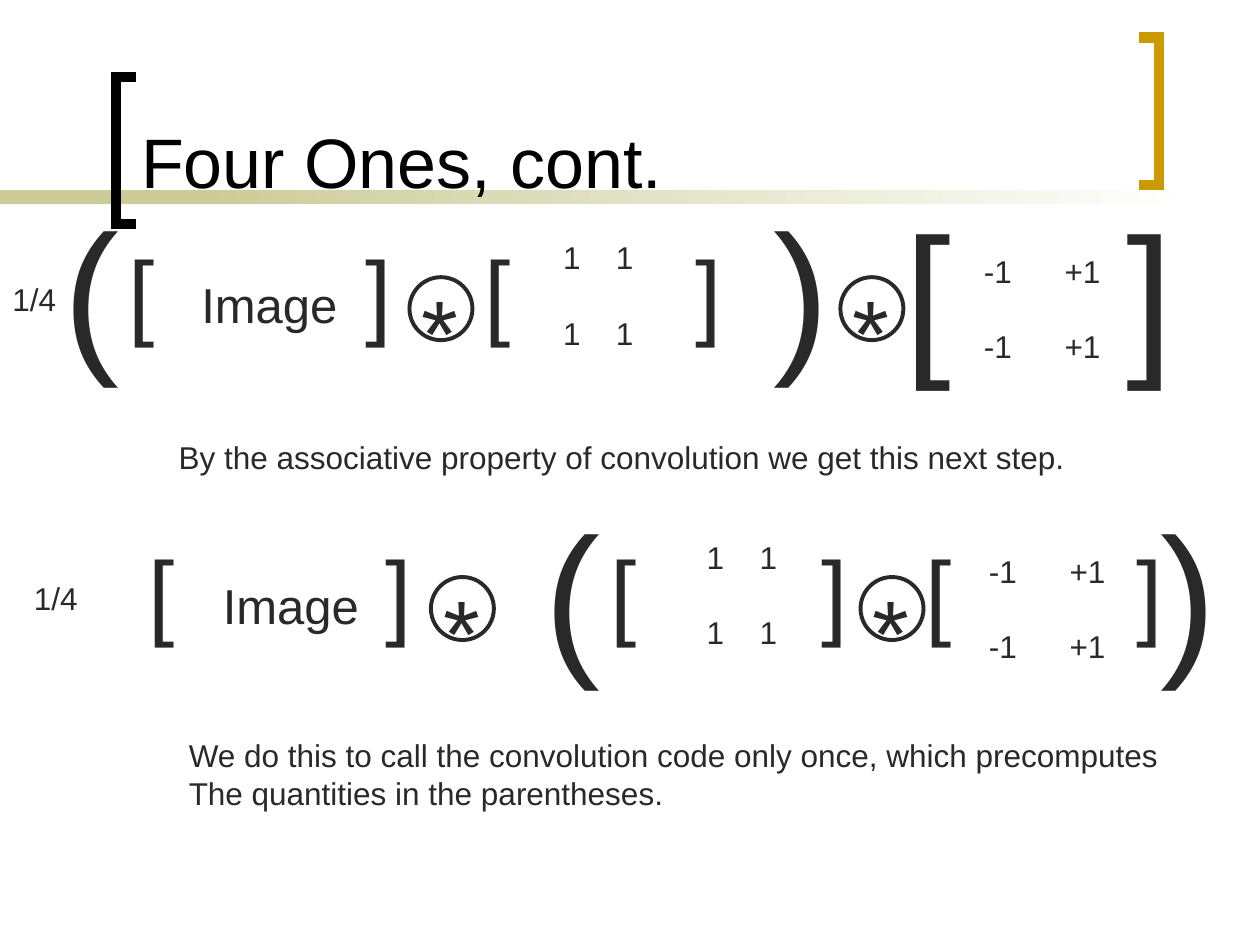
from dataclasses import dataclass

from lxml import etree
from pptx import Presentation
from pptx import util as u
from pptx.dml.color import RGBColor
from pptx.enum import shapes, text
from pptx.oxml import ns

INK = RGBColor(0x29, 0x29, 0x29)
BLACK = RGBColor(0, 0, 0)
WHITE = RGBColor(0xFF, 0xFF, 0xFF)
GOLD = RGBColor(0xCC, 0x99, 0x00)
SAGE = RGBColor(0xCC, 0xCC, 0x99)
FONT = "Arial"


@dataclass(frozen=True)
class Label:
    """Text box; tab is the distance from the first column to the second."""
    words: str
    left: float
    top: float
    width: float
    height: float
    size: int = 18
    tab: float = 0
    inset: float = 0.05
    row_gap: float = 0


def brackets(left: float, top: float, tab: float, size: int = 54,
             inset: float = 0.41) -> Label:
    return Label("[\t]", left, top, 2.67, 1.5, size, tab, inset)


def parentheses(left: float, top: float, width: float, tab: float) -> Label:
    return Label("(\t)", left, top, width, 1.7, 96, tab)


def ones(left: float, top: float) -> Label:
    return Label("1\t1\n1\t1", left, top, 0.82, 1, tab=0.42, row_gap=21.6)


def signs(left: float, top: float) -> Label:
    return Label("-1\t+1\n-1\t+1", left, top, 1.12, 1, tab=0.64, row_gap=21.6)


def image_word(left: float, top: float) -> Label:
    return Label("Image", left, top, 1.28, 0.57, 28)


def quarter(left: float, top: float) -> Label:
    return Label("1/4", left, top, 0.55, 0.4)


def format_span(span, size: int, color: RGBColor) -> None:
    span.font.name = FONT
    span.font.size = u.Pt(size)
    span.font.color.rgb = color


def add_tab(para, position: float) -> None:
    properties = para._p.get_or_add_pPr()
    stops = etree.SubElement(properties, ns.qn("a:tabLst"))
    etree.SubElement(stops, ns.qn("a:tab"), pos=str(u.Inches(position)), algn="l")


def add_text(page, words: str, *, left: float, top: float, width: float,
             height: float, size: int, tab: float = 0, inset: float = 0.05,
             row_gap: float = 0) -> None:
    box = page.shapes.add_textbox(*map(u.Inches, (left, top, width, height)))
    frame = box.text_frame
    frame.word_wrap = True
    frame.margin_top = u.Inches(inset)
    frame.margin_right = 0
    for row, line in enumerate(words.split("\n")):
        para = frame.add_paragraph() if row else frame.paragraphs[0]
        if row and row_gap:
            para.space_before = u.Pt(row_gap)
        if tab:
            add_tab(para, tab)
        span = para.add_run()
        span.text = line
        format_span(span, size, INK)


def add_bar(page, left: float, width: float, fade: bool = False) -> None:
    bar = page.shapes.add_shape(shapes.MSO_SHAPE.RECTANGLE, u.Inches(left),
                                u.Inches(1.51), u.Inches(width), u.Inches(0.11))
    bar.shadow.inherit = False
    bar.line.fill.background()
    if fade:
        bar.fill.gradient()
        bar.fill.gradient_angle = 0
        for stop, color in zip(bar.fill.gradient_stops, (SAGE, WHITE)):
            stop.color.rgb = color
    else:
        bar.fill.solid()
        bar.fill.fore_color.rgb = SAGE


def add_corner_bracket(page, tips: float, spine: float, top: float,
                       color: RGBColor) -> None:
    bottom = top + 1.17
    points = [(u.Inches(x), u.Inches(y)) for x, y in
              ((tips, top), (spine, top), (spine, bottom), (tips, bottom))]
    builder = page.shapes.build_freeform(*points[0], scale=1.0)
    builder.add_line_segments(points[1:], close=False)
    bracket = builder.convert_to_shape()
    bracket.shadow.inherit = False
    bracket.fill.background()
    bracket.line.color.rgb = color
    bracket.line.width = u.Pt(6)
    etree.SubElement(bracket.line._get_or_add_ln(), ns.qn("a:miter"), lim="800000")


def add_convolution(page, left: float, top: float) -> None:
    add_text(page, "*", left=left, top=top - 0.08, width=0.49, height=1, size=54)
    ring = page.shapes.add_shape(shapes.MSO_SHAPE.OVAL, u.Inches(left),
                                 u.Inches(top), u.Inches(0.5), u.Inches(0.5))
    ring.shadow.inherit = False
    ring.fill.background()
    ring.line.color.rgb = INK
    ring.line.width = u.Pt(2.25)


def add_title(page, words: str) -> None:
    title = page.shapes.title
    title.left, title.top, title.width, title.height = map(
        u.Inches, (1.02, 0.11, 7.83, 1.55))
    frame = title.text_frame
    frame.vertical_anchor = text.MSO_ANCHOR.BOTTOM
    frame.auto_size = text.MSO_AUTO_SIZE.NONE
    para = frame.paragraphs[0]
    para.alignment = text.PP_ALIGN.LEFT
    span = para.add_run()
    span.text = words
    format_span(span, 40, BLACK)
    # Bring the title in front of the bar
    page.shapes._spTree.append(title._element)


LABELS = [
    # Image convolved with the ones, then with the signs
    quarter(0, 2.17),
    parentheses(0.41, 1.42, 6.27, 5.63),
    brackets(0.92, 1.45, 1.88),
    image_word(1.5, 2.13),
    brackets(3.75, 1.45, 1.67),
    ones(4.37, 1.84),
    brackets(7.08, 1.45, 1.76, size=96, inset=0.05),
    signs(7.71, 1.95),
    # Image convolved with the combined kernel
    quarter(0.17, 4.55),
    brackets(1.08, 3.83, 1.88),
    image_word(1.67, 4.52),
    parentheses(4.22, 3.83, 5.53, 4.89),
    brackets(4.75, 3.83, 1.67),
    ones(5.51, 4.22),
    brackets(7.25, 3.83, 1.67),
    signs(7.75, 4.33),
    # Explanations
    Label("By the associative property of convolution we get this next step.",
          1.32, 3.43, 7.3, 0.4),
    Label("We do this to call the convolution code only once, which precomputes\n"
          "The quantities in the parentheses.", 1.4, 5.79, 7.9, 0.7),
]
CONVOLUTIONS = [(3.25, 2.2), (6.67, 2.2), (3.42, 4.58), (6.83, 4.58)]


def main() -> None:
    deck = Presentation()
    deck.slide_width, deck.slide_height = u.Inches(10), u.Inches(7.5)
    page = deck.slides.add_slide(deck.slide_layouts[5])

    # Bar and corner brackets around the title
    add_bar(page, 0, 2.33)
    add_bar(page, 1.58, 7.92, fade=True)
    add_corner_bracket(page, 1.08, 0.92, 0.61, BLACK)
    add_corner_bracket(page, 9.04, 9.2, 0.3, GOLD)
    add_title(page, "Four Ones, cont.")

    # Equations and explanations
    for label in LABELS:
        add_text(page, label.words, left=label.left, top=label.top,
                 width=label.width, height=label.height, size=label.size,
                 tab=label.tab, inset=label.inset, row_gap=label.row_gap)
    for left, top in CONVOLUTIONS:
        add_convolution(page, left, top)

    deck.save("out.pptx")


if __name__ == "__main__":
    main()
